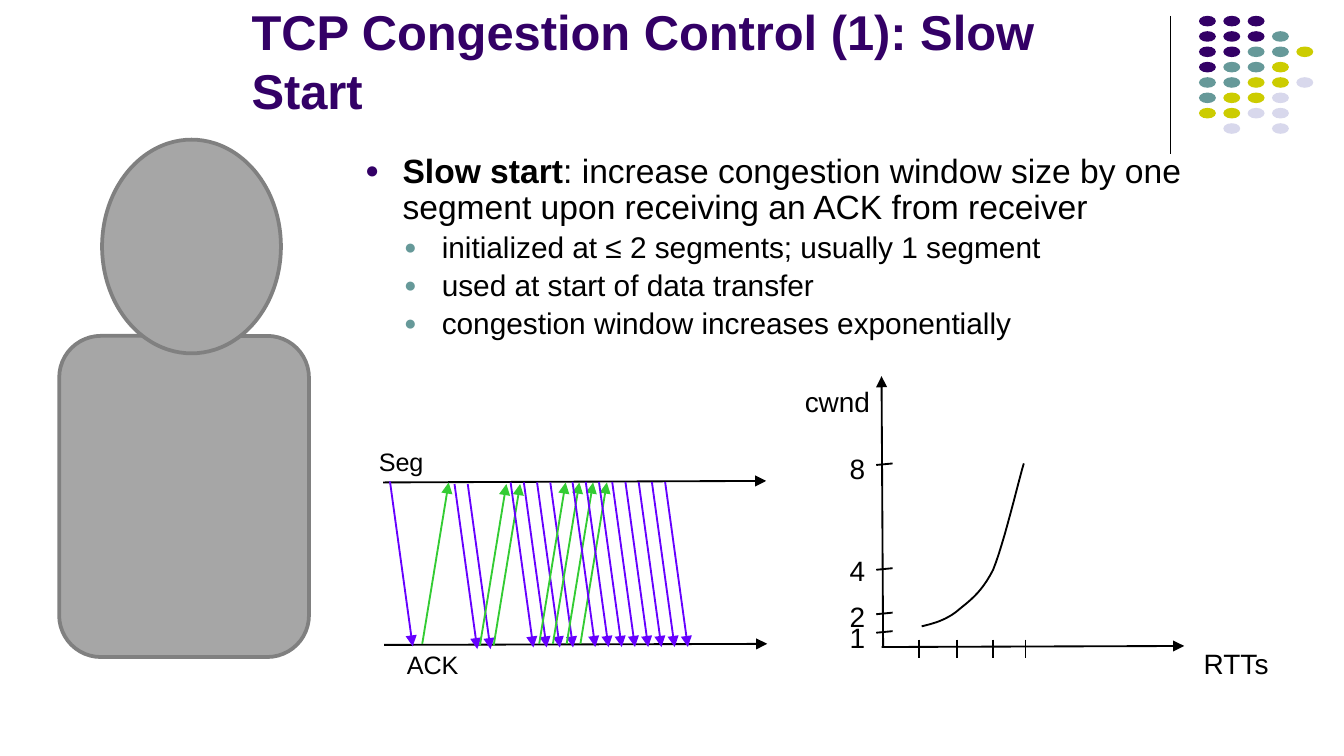
from lxml import etree
from pptx import Presentation
from pptx.dml.color import RGBColor
from pptx.enum.shapes import MSO_CONNECTOR, MSO_SHAPE
from pptx.enum.text import MSO_ANCHOR, MSO_AUTO_SIZE, PP_ALIGN
from pptx.oxml.ns import qn
from pptx.util import Cm, Pt

LINE = MSO_CONNECTOR.STRAIGHT
OVAL, ROUND = MSO_SHAPE.OVAL, MSO_SHAPE.ROUNDED_RECTANGLE
LEFT, BOTTOM = PP_ALIGN.LEFT, MSO_ANCHOR.BOTTOM
FIXED = MSO_AUTO_SIZE.NONE

BLACK = RGBColor(0x00, 0x00, 0x00)
INDIGO = RGBColor(0x33, 0x00, 0x66)
TEAL = RGBColor(0x66, 0x99, 0x99)
OLIVE = RGBColor(0xCC, 0xCC, 0x00)
PALE = RGBColor(0xD8, 0xD8, 0xEC)
VIOLET = RGBColor(0x66, 0x00, 0xFF)
GREEN = RGBColor(0x33, 0xCC, 0x33)
GREY = RGBColor(0xA6, 0xA6, 0xA6)
EDGE = RGBColor(0x80, 0x80, 0x80)
FONT = "Arial"

# Content; all lengths are in centimetres
TITLE = "TCP Congestion Control (1): Slow Start"
LEAD = ("Slow start", ": increase congestion window size by one segment "
        "upon receiving an ACK from receiver")
POINTS = [
    "initialized at ≤ 2 segments; usually 1 segment",
    "used at start of data transfer",
    "congestion window increases exponentially",
]
DOTS = ["III", "IIIT", "IITTO", "ITTO", "TTOOP", "TOOP", "OOPP", " P P"]
TINTS = {"I": INDIGO, "T": TEAL, "O": OLIVE, "P": PALE}
# Segments per round: count, first x, top y
SEGS = [(1, 7.37, 9.1), (2, 8.59, 9.15), (4, 9.65, 9.12), (8, 10.82, 9.11)]
# Replies per round: count, first x, bottom y
ACKS = [(1, 7.98, 12.17), (2, 9.07, 12.2), (4, 10.19, 12.17)]
TIMES = [(7.26, 12.19, 14.5, 12.17), (7.24, 9.12, 14.48, 9.09)]
AXES = [(16.69, 12.22, 16.66, 7.11), (16.66, 12.23, 22.38, 12.21)]
# Window sizes: label, tick y, label top
SIZES = [("1", 11.96, 11.61), ("2", 11.61, 11.2),
         ("4", 10.77, 10.34), ("8", 8.79, 8.41)]
TRIPS = [17.37, 18.08, 18.77, 19.38]
# Other labels: text, left, top, width, size
LABELS = [("ACK", 7.44, 12.14, 1.5, 13.5), ("Seg", 6.91, 8.31, 1.37, 13.5),
          ("RTTs", 22.5, 12.09, 1.75, 15), ("cwnd", 14.96, 7.14, 1.75, 15)]
START = (17.42, 11.84)
CURVES = [
    ((17.63, 11.79), (17.86, 11.73), (18.08, 11.56)),
    ((18.29, 11.38), (18.54, 11.23), (18.77, 10.77)),
    ((18.97, 10.29), (19.25, 9.09), (19.35, 8.76)),
]
PERSON = [(ROUND, 1.12, 6.35, 4.72, 6.07), (OVAL, 1.93, 2.64, 3.38, 4.04)]

deck = Presentation()
deck.slide_width, deck.slide_height = Cm(25.4), Cm(14.29)
slide = deck.slides.add_slide(deck.slide_layouts[5])
shapes = slide.shapes


def style(font, size, color=BLACK, bold=False):
    font.name, font.size, font.bold = FONT, Pt(size), bold
    font.color.rgb = color


def draw(x1, y1, x2, y2, color=BLACK, width=1, arrow=False):
    line = shapes.add_connector(LINE, Cm(x1), Cm(y1), Cm(x2), Cm(y2))
    line.line.color.rgb, line.line.width = color, Pt(width)
    if arrow:
        etree.SubElement(line.line._get_or_add_ln(), qn("a:tailEnd"),
                         type="triangle")
    etree.SubElement(line._element.spPr, qn("a:effectLst"))


def solid(kind, x, y, w, h, fill, edge=None):
    shape = shapes.add_shape(kind, Cm(x), Cm(y), Cm(w), Cm(h))
    shape.shadow.inherit = False
    shape.fill.solid()
    shape.fill.fore_color.rgb = fill
    if edge:
        shape.line.color.rgb, shape.line.width = edge, Pt(2)
    else:
        shape.line.fill.background()


def label(text, x, y, w, size):
    box = shapes.add_textbox(Cm(x), Cm(y), Cm(w), Cm(0.89))
    box.text_frame.text = text
    style(box.text_frame.paragraphs[0].runs[0].font, size)


def bullet(par, indent, color):
    props = par._p.get_or_add_pPr()
    props.set("marL", str(Cm(indent)))
    props.set("indent", str(Cm(-0.71)))
    par.line_spacing = 0.9
    tint = etree.SubElement(props, qn("a:buClr"))
    etree.SubElement(tint, qn("a:srgbClr"), val=str(color))
    etree.SubElement(props, qn("a:buSzPct"), val="70000")
    etree.SubElement(props, qn("a:buFont"), typeface=FONT)
    etree.SubElement(props, qn("a:buChar"), char="●")


def bezier(p, a, b, q, steps=12):
    for i in range(1, steps + 1):
        t = i / steps
        s = 1 - t
        yield tuple(Cm(s**3 * k + 3 * s * s * t * l + 3 * s * t * t * m
                       + t**3 * n) for k, l, m, n in zip(p, a, b, q))


# Corner rule and dots
draw(22.12, 0.3, 22.12, 2.92, width=0.75)
for row, marks in enumerate(DOTS):
    for col, mark in enumerate(marks):
        if mark in TINTS:
            solid(OVAL, 22.66 + 0.46 * col, 0.3 + 0.29 * row, 0.32, 0.2,
                  TINTS[mark])

# Title
title = shapes.title
title.left, title.top = Cm(4.5), Cm(0.25)
title.width, title.height = Cm(17.65), Cm(2.13)
frame = title.text_frame
frame.text = TITLE
frame.word_wrap, frame.auto_size = True, FIXED
frame.vertical_anchor = BOTTOM
frame.paragraphs[0].alignment = LEFT
style(frame.paragraphs[0].runs[0].font, 26.2, INDIGO, True)

# Bullet list
body = shapes.add_textbox(Cm(6.65), Cm(2.79), Cm(16.87), Cm(4.29)).text_frame
body.word_wrap = True
par = body.paragraphs[0]
bullet(par, 0.71, INDIGO)
for text, bold in zip(LEAD, (True, False)):
    run = par.add_run()
    run.text = text
    style(run.font, 18, bold=bold)
for text in POINTS:
    par = body.add_paragraph()
    par.text = text
    par.level = 1
    par.space_before = Pt(3.2)
    bullet(par, 1.45, TEAL)
    style(par.runs[0].font, 16)

# Segment and reply exchange
for ends in TIMES:
    draw(*ends, arrow=True)
for turn, (count, left, top) in enumerate(SEGS):
    for i in range(count):
        x = left + 0.25 * i
        draw(x, top, x + 0.43, top + 3.12, VIOLET, arrow=True)
    for count, left, low in ACKS[turn:turn + 1]:
        for i in range(count):
            x = left + 0.26 * i
            draw(x, low, x + 0.5, low - 3.05, GREEN, arrow=True)

# Window growth graph
for ends in AXES:
    draw(*ends, arrow=True)
for text, y, top in SIZES:
    draw(16.56, y, 16.87, y - 0.03)
    label(text, 15.81, top, 0.81, 15)
for x in TRIPS:
    draw(x, 12.09, x, 12.43)
for item in LABELS:
    label(*item)
points, last = [], START
for a, b, end in CURVES:
    points += bezier(last, a, b, end)
    last = end
path = shapes.build_freeform(Cm(START[0]), Cm(START[1]))
path.add_line_segments(points, close=False)
curve = path.convert_to_shape()
curve.shadow.inherit = False
curve.fill.background()
curve.line.color.rgb, curve.line.width = BLACK, Pt(1)

# Person figure
for part in PERSON:
    solid(*part, GREY, EDGE)

deck.save("out.pptx")
